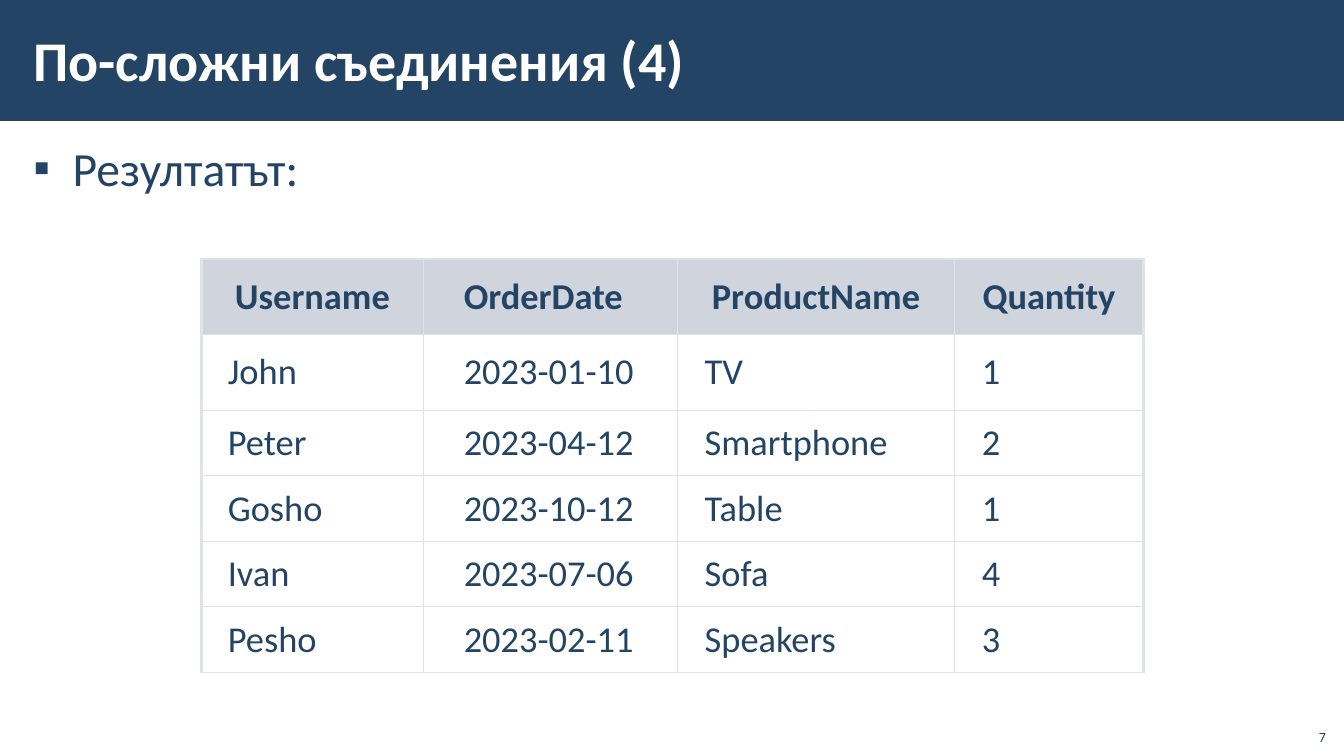
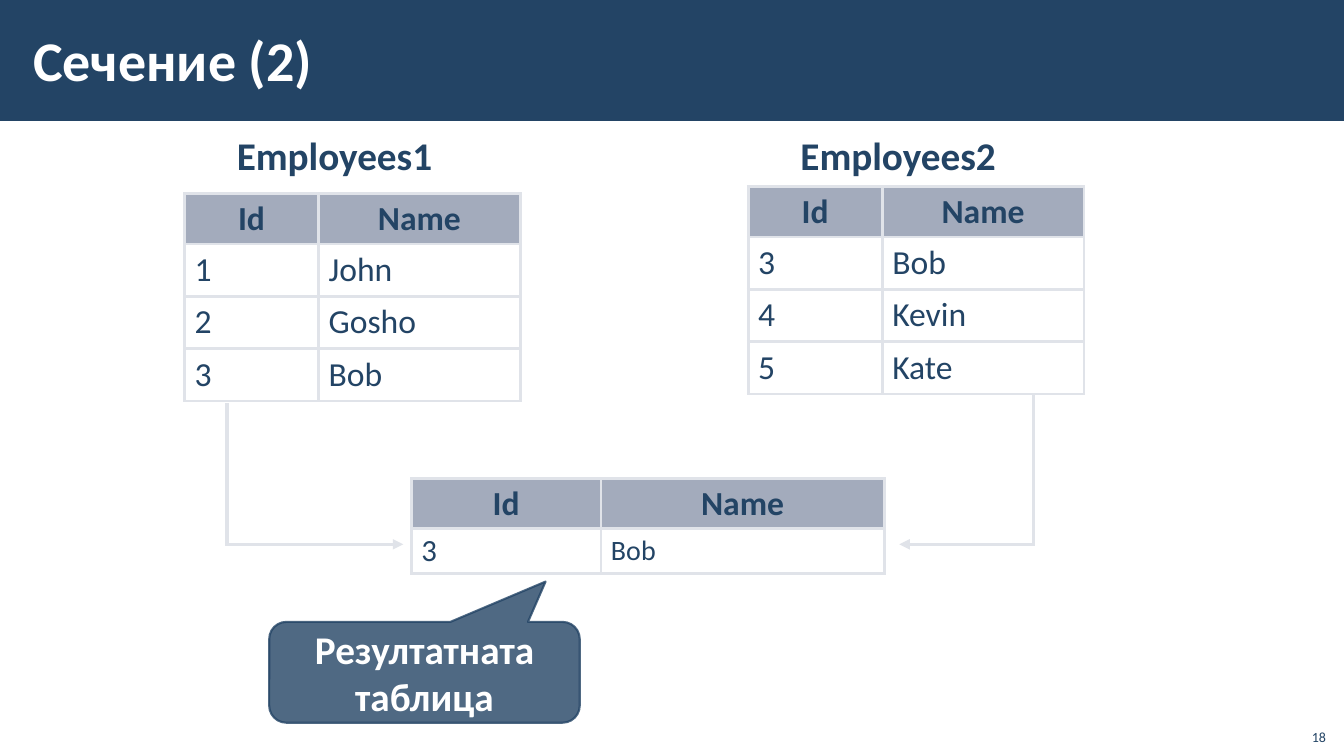
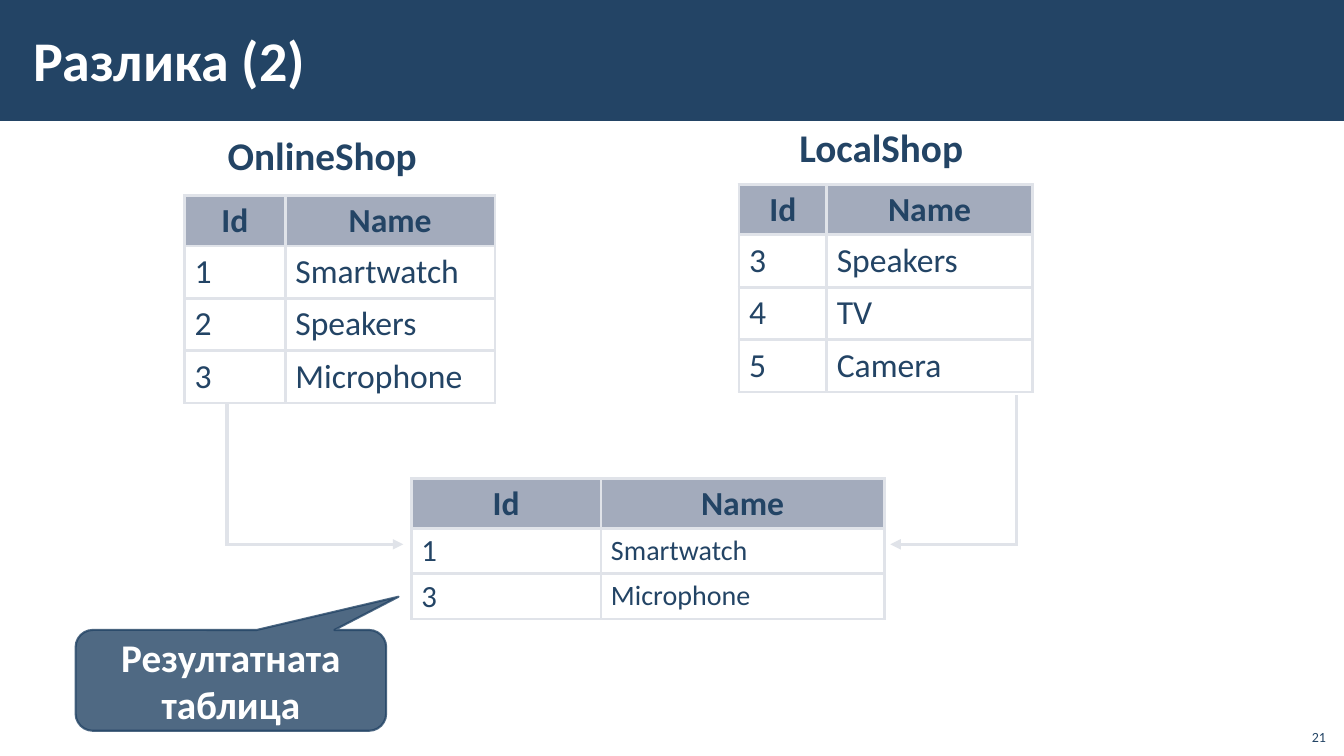
import pptx
import pptx.util
import pptx.dml.color
import pptx.enum.shapes
import pptx.enum.text
import pptx.oxml
import pptx.oxml.ns
from dataclasses import dataclass

Inches, Pt = pptx.util.Inches, pptx.util.Pt
ALIGN, ANCHOR = pptx.enum.text.PP_ALIGN, pptx.enum.text.MSO_ANCHOR
SHAPE = pptx.enum.shapes.MSO_SHAPE
qn = pptx.oxml.ns.qn


@dataclass(frozen=True)
class Theme:
    navy: str = "234465"
    white: str = "FFFFFF"
    order_head: str = "D0D4DC"
    set_head: str = "A3ABBC"
    border: str = "DFE2E9"
    arrow: str = "E0E3E9"
    font: str = "Calibri"
    title: int = 40
    body: int = 34
    label: int = 28
    order_cell: int = 26
    cell: int = 24
    result: tuple = (22, 20)
    number: int = 10
    thick: float = 2.21
    thin: float = 0.96


T = Theme()

# Content
ORDERS = {
    "title": "По-сложни съединения (4)", "number": "7", "bullet": "Резултатът:",
    "rows": [
        ("Username", "OrderDate", "ProductName", "Quantity"),
        ("John", "2023-01-10", "TV", "1"),
        ("Peter", "2023-04-12", "Smartphone", "2"),
        ("Gosho", "2023-10-12", "Table", "1"),
        ("Ivan", "2023-07-06", "Sofa", "4"),
        ("Pesho", "2023-02-11", "Speakers", "3"),
    ],
}
HEAD = ("Id", "Name")
CALLOUT = "Резултатната таблица"
# Source: label, label position, table position, column widths, rows
# Arrow: x, top of the vertical line, x of the arrowhead
SET_SLIDES = [
    {
        "title": "Сечение (2)", "number": "18",
        "sources": [
            ("Employees1", (2.25, 1.25), (1.83, 1.92), (1.33, 2),
             [("1", "John"), ("2", "Gosho"), ("3", "Bob")]),
            ("Employees2", (7.84, 1.25), (7.42, 1.85), (1.33, 2),
             [("3", "Bob"), ("4", "Kevin"), ("5", "Kate")]),
        ],
        "arrows": [(2.25, 4, 4), (10.25, 3.92, 8.92)],
        "result": [("3", "Bob")],
        "callout": ((2.67, 6.17), (0.39, -0.9, 0.17)),
    },
    {
        "title": "Разлика (2)", "number": "21",
        "sources": [
            ("OnlineShop", (2.16, 1.25), (1.83, 1.94), (1, 2.08),
             [("1", "Smartwatch"), ("2", "Speakers"), ("3", "Microphone")]),
            ("LocalShop", (7.83, 1.17), (7.33, 1.83), (0.87, 2.04),
             [("3", "Speakers"), ("4", "TV"), ("5", "Camera")]),
        ],
        "arrows": [(2.25, 4, 4), (10.08, 3.92, 8.83)],
        "result": [("1", "Smartwatch"), ("3", "Microphone")],
        "callout": ((0.75, 6.25), (0.54, -0.83, 0.17)),
    },
]


# Helpers
def apply(obj, values):
    for name, value in values.items():
        setattr(obj, name, value)


def rgb(color):
    return pptx.dml.color.RGBColor.from_string(color)


def box(items):
    return [Inches(v) for v in items]


def write(tf, text, size, color=T.navy, bold=False, **para):
    p = tf.paragraphs[0]
    apply(p, para)
    r = p.add_run()
    r.text = text
    apply(r.font, {"name": T.font, "size": Pt(size), "bold": bold})
    r.font.color.rgb = rgb(color)
    return p


def add_text(s, at, text, size, inset=(0.1, 0.05), anchor=ANCHOR.TOP, **style):
    tf = s.shapes.add_textbox(*box(at)).text_frame
    x, y = box(inset)
    apply(tf, {"word_wrap": True, "vertical_anchor": anchor, "margin_left": x,
               "margin_right": x, "margin_top": y, "margin_bottom": y})
    return write(tf, text, size, **style)


def add_bullet(p, indent):
    pPr = p._p.get_or_add_pPr()
    pPr.set("marL", str(Inches(indent)))
    pPr.set("indent", str(-Inches(indent)))
    clr = pptx.oxml.ns.nsdecls("a")
    for xml in (f'<a:buClr {clr}><a:srgbClr val="{T.navy}"/></a:buClr>',
                f'<a:buFont {clr} typeface="Arial"/>',
                f'<a:buChar {clr} char="▪"/>'):
        pPr.append(pptx.oxml.parse_xml(xml))


def set_borders(cell, color, widths):
    """Draw the cell's left, right, top and bottom borders."""
    tcPr = cell._tc.get_or_add_tcPr()
    for i, (side, width) in enumerate(zip("LRTB", widths)):
        tcPr.insert(i, pptx.oxml.parse_xml(
            f'<a:ln{side} {pptx.oxml.ns.nsdecls("a")} w="{Pt(width)}"><a:solidFill>'
            f'<a:srgbClr val="{color}"/></a:solidFill></a:ln{side}>'))


def add_table(s, at, cols, heights, rows, head_fill, border, edge, inner, style):
    """style(row, column) gives the text format and the left margin of a cell."""
    size = sum(cols), sum(heights)
    table = s.shapes.add_table(len(rows), len(cols), *box(at + size)).table
    apply(table, {"first_row": False, "horz_banding": False})
    for col, width in zip(table.columns, cols):
        col.width = Inches(width)
    for row, height in zip(table.rows, heights):
        row.height = Inches(height)
    for i, texts in enumerate(rows):
        for j, text in enumerate(texts):
            cell = table.cell(i, j)
            if i == 0:
                cell.fill.solid()
                cell.fill.fore_color.rgb = rgb(head_fill)
            else:
                cell.fill.background()
            set_borders(cell, border, (edge if j == 0 else inner,
                                       edge if j == len(cols) - 1 else inner,
                                       edge if i == 0 else inner, inner))
            fmt, left = style(i, j)
            apply(cell, {"vertical_anchor": ANCHOR.MIDDLE, "margin_left": Inches(left)})
            write(cell.text_frame, text, bold=i == 0, **fmt)


def add_set_table(s, at, cols, rows, heights, sizes=(T.cell, T.cell), spacing=1.0):
    def style(i, j):
        if i == 0:
            return {"size": T.cell, "alignment": ALIGN.CENTER, "line_spacing": 0.95}, 0.1
        return {"size": sizes[j], "line_spacing": spacing}, 0.1

    heights = [heights[0]] + [heights[1]] * len(rows)
    add_table(s, at, cols, heights, [HEAD] + rows, T.set_head, T.arrow,
              T.thick, T.thick, style)


def add_line(s, start, end, arrow=False):
    c = s.shapes.add_connector(pptx.enum.shapes.MSO_CONNECTOR.STRAIGHT,
                               *box(start + end))
    c.line.color.rgb = rgb(T.arrow)
    c.line.width = Pt(2.5)
    if arrow:
        c.line._get_or_add_ln().append(pptx.oxml.parse_xml(
            f'<a:tailEnd {pptx.oxml.ns.nsdecls("a")} type="triangle"/>'))
    c._element.spPr.append(pptx.oxml.parse_xml(
        f'<a:effectLst {pptx.oxml.ns.nsdecls("a")}/>'))


def add_callout(s, at, adjustments):
    sp = s.shapes.add_shape(SHAPE.ROUNDED_RECTANGULAR_CALLOUT, *box(at + (3.08, 1)))
    sp.shadow.inherit = False
    for i, value in enumerate(adjustments):
        sp.adjustments[i] = value
    sp.fill.solid()
    sp.line.width = Pt(1.5)
    for color in (sp.fill.fore_color, sp.line.color):
        color.rgb = rgb(T.navy)
    for clr in sp._element.spPr.iter(qn("a:srgbClr")):
        clr.append(pptx.oxml.parse_xml(
            f'<a:alpha {pptx.oxml.ns.nsdecls("a")} val="80000"/>'))
    apply(sp.text_frame, {"word_wrap": True, "vertical_anchor": ANCHOR.MIDDLE})
    write(sp.text_frame, CALLOUT, T.label, T.white, True, alignment=ALIGN.CENTER)


def new_slide(prs, content):
    s = prs.slides.add_slide(prs.slide_layouts[6])
    band = s.shapes.add_shape(SHAPE.RECTANGLE, 0, 0, prs.slide_width, Inches(1.2))
    band.shadow.inherit = False
    band.fill.solid()
    band.fill.fore_color.rgb = rgb(T.navy)
    band.line.fill.background()
    add_text(s, (0.21, 0.11, 11.23, 0.96), content["title"], T.title, (0.12, 0.04),
             ANCHOR.MIDDLE, color=T.white, bold=True)
    add_text(s, (12.85, 7.12, 0.4, 0.32), content["number"], T.number,
             anchor=ANCHOR.BOTTOM, alignment=ALIGN.RIGHT)
    return s


# Slides
def build_orders(prs):
    s = new_slide(prs, ORDERS)
    p = add_text(s, (0.21, 1.31, 12.92, 1), ORDERS["bullet"], T.body, (0.12, 0.04),
                 line_spacing=1.05, space_after=Pt(6))
    add_bullet(p, 0.39)
    margins = (0.26, 0.4, 0.27, 0.27)

    def style(i, j):
        centred = i == 0 and j != 1
        fmt = {"size": T.order_cell, "alignment": ALIGN.CENTER if centred else ALIGN.LEFT}
        return fmt, 0.1 if centred else margins[j]

    add_table(s, (2, 2.57), (2.2, 2.52, 2.75, 1.87), [0.75] * 2 + [0.65] * 4,
              ORDERS["rows"], T.order_head, T.border, T.thick, T.thin, style)


def build_set(prs, content):
    s = new_slide(prs, content)
    for label, label_at, table_at, cols, rows in content["sources"]:
        add_text(s, label_at + (2.49, 0.56), label, T.label, bold=True)
        add_set_table(s, table_at, cols, rows, (0.5, 0.52))
    for x, top, tip in content["arrows"]:
        add_line(s, (x, top), (x, 5.42))
        add_line(s, (x, 5.4), (tip, 5.4), arrow=True)
    add_set_table(s, (4.08, 4.75), (1.88, 2.81), content["result"], (0.49, 0.45),
                  T.result, 0.95)
    add_callout(s, *content["callout"])


def main():
    prs = pptx.Presentation()
    apply(prs, {"slide_width": Inches(13.33), "slide_height": Inches(7.5)})
    build_orders(prs)
    for content in SET_SLIDES:
        build_set(prs, content)
    prs.save("out.pptx")


if __name__ == "__main__":
    main()
